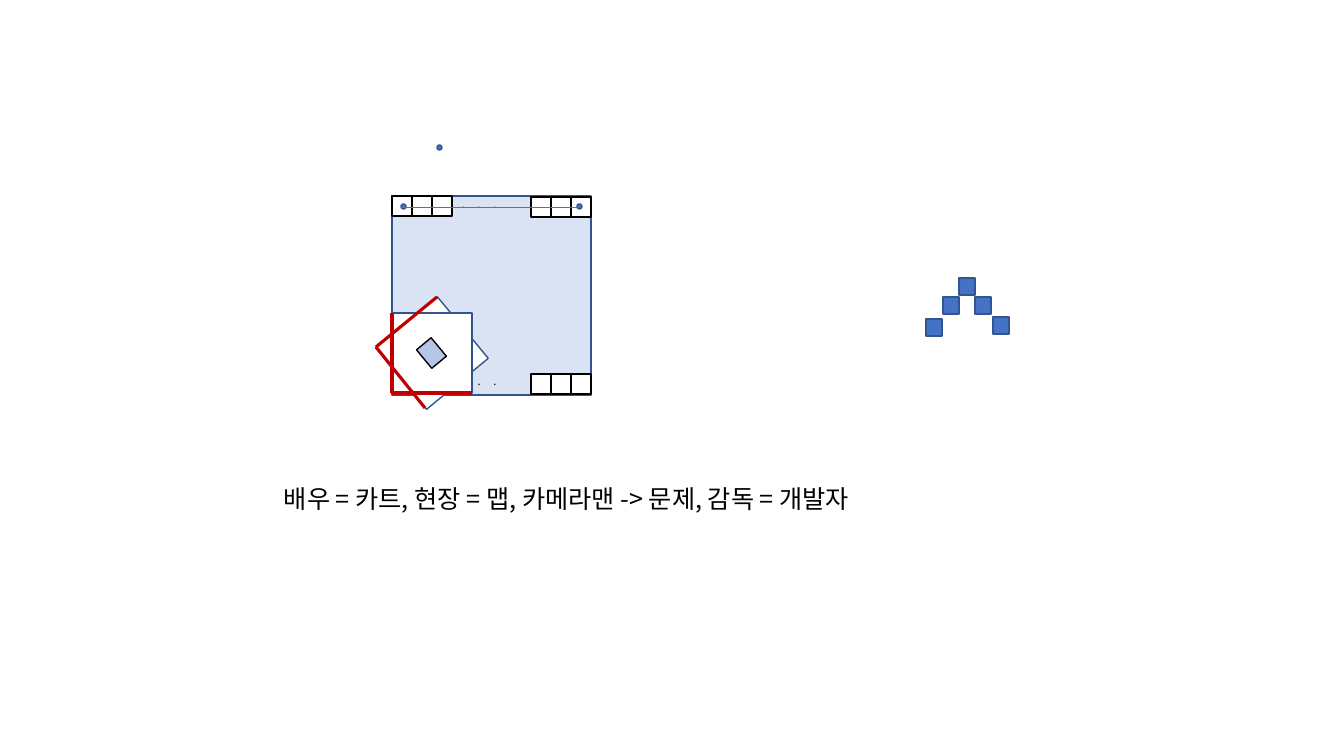
from lxml import etree
from pptx import Presentation
from pptx.dml.color import RGBColor
from pptx.enum.shapes import MSO_CONNECTOR, MSO_SHAPE
from pptx.oxml.ns import qn
from pptx.util import Emu, Pt

RECT, OVAL = MSO_SHAPE.RECTANGLE, MSO_SHAPE.OVAL
STRAIGHT = MSO_CONNECTOR.STRAIGHT
PX = 914400 / 100.8
FONT = "Noto Sans CJK KR"
WHITE, BLACK, RED = "FFFFFF", "000000", "C00000"
BLUE, NAVY, PALE, LIGHT = "4472C4", "325491", "DAE3F3", "B4C7E7"


def px(*values):
    """Turn pixels into a list of EMU lengths."""
    return [Emu(round(v * PX)) for v in values]


def color(hex_text):
    """Turn a hex string into a colour."""
    return RGBColor.from_string(hex_text)


prs = Presentation()
prs.slide_width, prs.slide_height = px(1344, 756)
s = prs.slides.add_slide(prs.slide_layouts[6])

# Map, its corner cells, the camera views and the cart
CELL = 20
cells = [(x + CELL * i, y, CELL, CELL)
         for x, y in [(392, 196), (531, 197), (392, 373), (531, 374)]
         for i in range(3)]
shapes = [(RECT, (392, 196, 199, 199), PALE, NAVY, 0)]
shapes += [(RECT, box, WHITE, BLACK, 0) for box in cells]
shapes += [
    (RECT, (392, 313, 80, 80), WHITE, NAVY, 320.4),
    (RECT, (392, 313, 80, 80), WHITE, NAVY, 0),
    (RECT, (422, 341, 19, 24), LIGHT, BLACK, 320.4),
]
# Peak of blocks on the right
blocks = [(943, 297), (959, 278), (975, 297), (926, 319), (993, 317)]
shapes += [(RECT, (x, y, 16, 17), BLUE, NAVY, 0) for x, y in blocks]
# Track points
points = [(401, 204), (437, 145), (577, 204)]
shapes += [(OVAL, (x, y, 5, 5), BLUE, NAVY, 0) for x, y in points]

# Captions go in before the camera views, which cover part of the lower dots
texts = [
    ((452, 192, 80, 24), ".     .     .", 8),
    ((452, 369, 80, 24), ".     .     .", 8),
    ((274, 478, 812, 40), "배우 = 카트, 현장 = 맵, 카메라맨 -> 문제, 감독 = 개발자", 18),
]
map_count = 1 + len(cells)

for i, (kind, box, fill, line, angle) in enumerate(shapes):
    if i == map_count:
        for text_box, text, size in texts:
            tf = s.shapes.add_textbox(*px(*text_box)).text_frame
            tf.word_wrap = True
            tf.text = text
            r = tf.paragraphs[0].runs[0]
            r.font.size = Pt(size)
            r.font.name = FONT
            r.font.color.rgb = color(BLACK)
            etree.SubElement(r.font._element, qn("a:ea"), typeface=FONT)
    sp = s.shapes.add_shape(kind, *px(*box))
    sp.shadow.inherit = False
    sp.rotation = angle
    sp.fill.solid()
    sp.fill.fore_color.rgb = color(fill)
    sp.line.color.rgb = color(line)
    sp.line.width = Pt(1)

# Red edges of both camera views, then the track
lines = [
    ((392, 393, 392, 313), RED, 2.25),
    ((472, 393, 392, 393), RED, 2.25),
    ((376, 347, 437, 297), RED, 2.25),
    ((425, 408, 376, 347), RED, 2.25),
    ((401, 207, 577, 207), BLUE, 0.5),
]
for ends, line, width in lines:
    c = s.shapes.add_connector(STRAIGHT, *px(*ends))
    c.line.color.rgb = color(line)
    c.line.width = Pt(width)
    etree.SubElement(c._element.spPr, qn("a:effectLst"))

prs.save("out.pptx")
